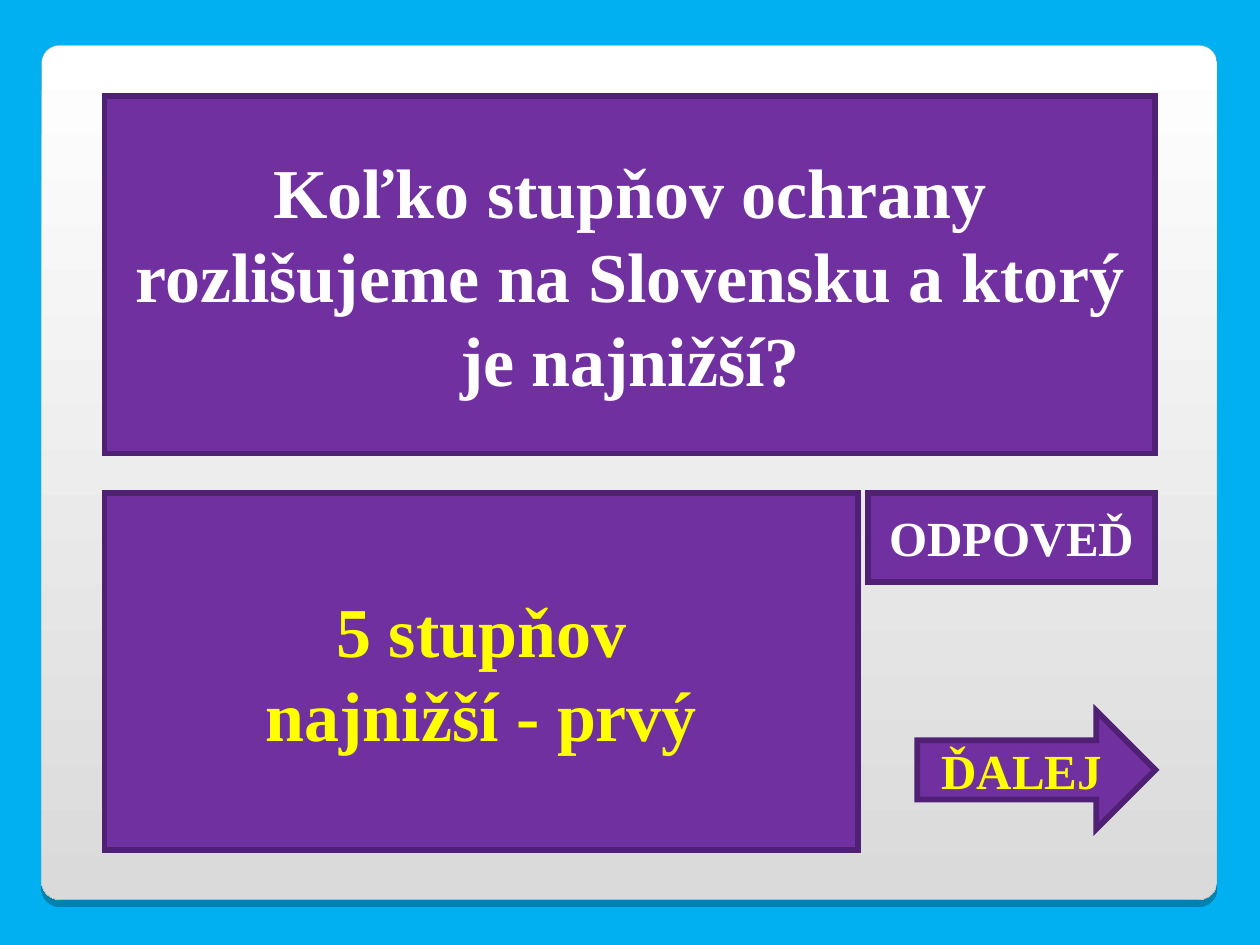
"""Build a quiz slide with a question, its answer and two buttons."""
from lxml import etree
from pptx import Presentation
from pptx import util as u
from pptx.dml.color import RGBColor
from pptx.enum import shapes, text
from pptx.oxml import parse_xml
from pptx.oxml.ns import nsdecls, qn

FONT = "Times New Roman"
WHITE, YELLOW = "FFFFFF", "FFFF00"
PURPLE, EDGE = "7030A0", "502074"
LEFT, RIGHT = 0.83, 9.17
LOW, TALL = 3.91, 2.84


def tint(color, code):
    """Set a colour from a hex string."""
    color.rgb = RGBColor.from_string(code)


def place(shape, left, top, width, height):
    """Move and size a shape in inches."""
    shape.left, shape.top = u.Inches(left), u.Inches(top)
    shape.width, shape.height = u.Inches(width), u.Inches(height)


def add_panel(slide):
    """Add the rounded panel with its gradient and hard shadow."""
    panel = slide.shapes.add_shape(
        shapes.MSO_SHAPE.ROUNDED_RECTANGLE,
        u.Inches(0.33), u.Inches(0.36), u.Inches(9.33), u.Inches(6.78))
    panel.adjustments[0] = 0.021
    panel.fill.gradient()
    panel.fill.gradient_angle = 270
    for stop, code in zip(panel.fill.gradient_stops, (WHITE, "DADADA")):
        tint(stop.color, code)
    tint(panel.line.color, "A4A3A3")
    panel.line.width = u.Pt(0.17)
    panel.element.spPr.append(parse_xml(
        f'<a:effectLst {nsdecls("a")}>'
        '<a:outerShdw blurRad="0" dist="50800" dir="5400000" rotWithShape="0">'
        '<a:srgbClr val="000000"><a:alpha val="25000"/></a:srgbClr>'
        '</a:outerShdw></a:effectLst>'))
    return panel


def style(shape, words, size, code):
    """Give a shape the purple look and centred bold text."""
    shape.fill.solid()
    tint(shape.fill.fore_color, PURPLE)
    tint(shape.line.color, EDGE)
    shape.line.width = u.Pt(3.34)
    edge = shape.element.spPr.find(qn("a:ln"))
    etree.SubElement(edge, qn("a:miter")).set("lim", "800000")
    shape.shadow.inherit = False
    frame = shape.text_frame
    frame.text = words
    frame.word_wrap = True
    frame.auto_size = text.MSO_AUTO_SIZE.NONE
    frame.vertical_anchor = text.MSO_ANCHOR.MIDDLE
    for para in frame.paragraphs:
        para.alignment = text.PP_ALIGN.CENTER
        for run in para.runs:
            run.font.name, run.font.size = FONT, u.Pt(size)
            run.font.bold = True
            tint(run.font.color, code)


def add_box(slide, kind, box, words, size, code):
    """Add a purple shape with text."""
    shape = slide.shapes.add_shape(kind, *map(u.Inches, box))
    style(shape, words, size, code)


def main():
    """Build and save the slide."""
    deck = Presentation()
    deck.slide_width, deck.slide_height = u.Inches(10), u.Inches(7.5)
    slide = deck.slides.add_slide(deck.slide_layouts[5])
    slide.background.fill.solid()
    tint(slide.background.fill.fore_color, "00B0F0")

    title = slide.shapes.title
    title.element.addprevious(add_panel(slide).element)
    place(title, LEFT, 0.76, RIGHT - LEFT, TALL)
    style(title, "Koľko stupňov ochrany rozlišujeme na Slovensku "
          "a ktorý je najnižší?", 40, WHITE)

    rect, arrow = shapes.MSO_SHAPE.RECTANGLE, shapes.MSO_SHAPE.RIGHT_ARROW
    add_box(slide, rect, (LEFT, LOW, 5.98, TALL),
            "5 stupňov\nnajnižší - prvý", 40, YELLOW)
    add_box(slide, rect, (RIGHT - 2.28, LOW, 2.28, 0.71),
            "ODPOVEĎ", 28, WHITE)
    add_box(slide, arrow, (RIGHT - 1.89, 5.64, 1.89, 0.94),
            "ĎALEJ", 28, YELLOW)
    deck.save("out.pptx")


if __name__ == "__main__":
    main()
